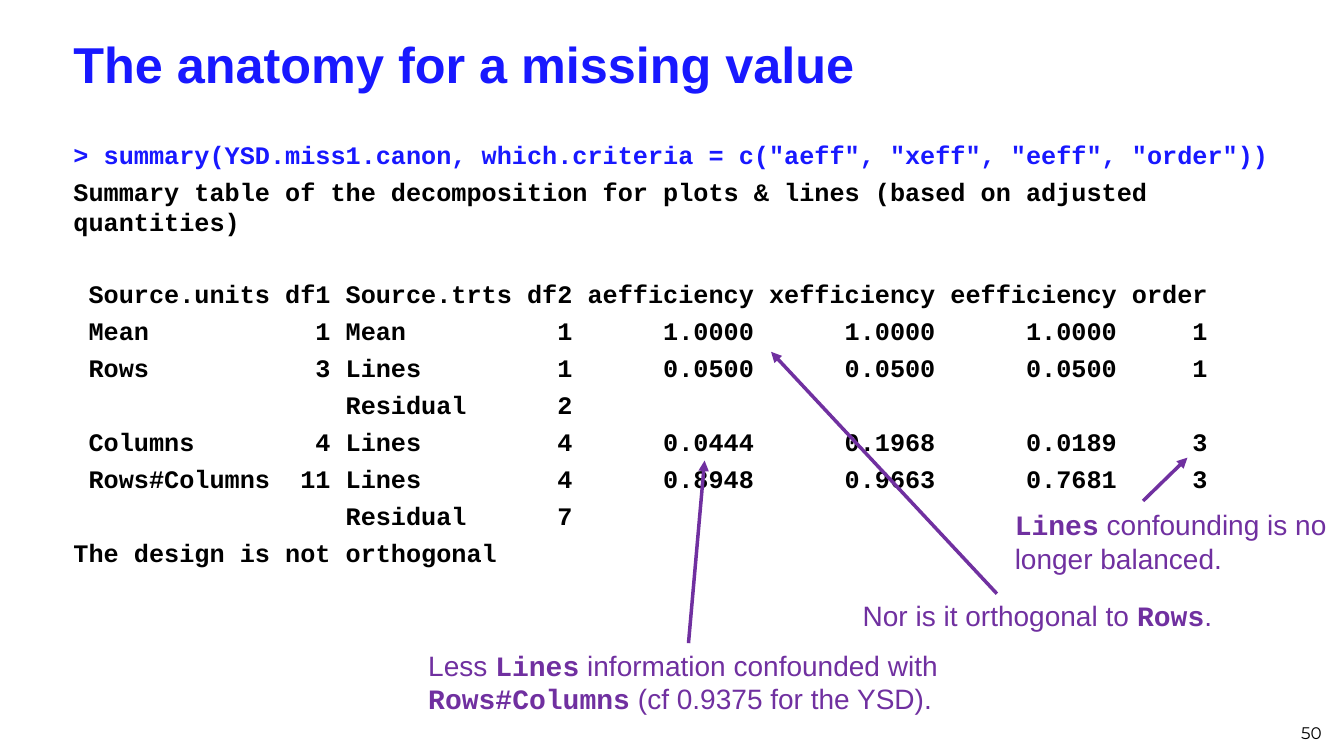
from pptx import Presentation
from pptx.dml.color import RGBColor
from pptx.enum import shapes, text
from pptx.oxml.ns import qn
from pptx.util import Pt

BLUE = RGBColor(0x18, 0x18, 0xFF)
BLACK = RGBColor(0, 0, 0)
PURPLE = RGBColor(0x70, 0x30, 0xA0)
SANS, MONO, NUMBER_FONT = "Arial", "Courier New", "Montserrat"

TITLE = "The anatomy for a missing value"
COMMAND = '> summary(YSD.miss1.canon, which.criteria = c("aeff", "xeff", "eeff", "order"))'
CAPTION = ("Summary table of the decomposition for plots & lines "
           "(based on adjusted quantities)")
ROW_FORMAT = " {:<12} {:>3} {:<11} {:>3} {:>11} {:>11} {:>11} {:>5}"
ROWS = [
    ("Source.units", "df1", "Source.trts", "df2",
     "aefficiency", "xefficiency", "eefficiency", "order"),
    ("Mean", "1", "Mean", "1", "1.0000", "1.0000", "1.0000", "1"),
    ("Rows", "3", "Lines", "1", "0.0500", "0.0500", "0.0500", "1"),
    ("", "", "Residual", "2", "", "", "", ""),
    ("Columns", "4", "Lines", "4", "0.0444", "0.1968", "0.0189", "3"),
    ("Rows#Columns", "11", "Lines", "4", "0.8948", "0.9663", "0.7681", "3"),
    ("", "", "Residual", "7", "", "", "", ""),
]
CONCLUSION = "The design is not orthogonal"
PAGE_NUMBER = "50"

# Box (left, top, width, height), then (wording, is code) pieces
NOTES = [
    ((717.8, 359.3, 242.6, 55.4),
     [("Lines", True), (" confounding is no longer balanced.", False)]),
    ((609.1, 424.1, 270, 31.7),
     [("Nor is it orthogonal to ", False), ("Rows", True), (".", False)]),
    ((298.8, 459.4, 385.9, 55.4),
     [("Less ", False), ("Lines", True), (" information confounded with ", False),
      ("Rows#Columns", True), (" (cf 0.9375 for the YSD).", False)]),
]
# Start x, start y, tip x, tip y
ARROWS = [
    (491.8, 459.4, 503.3, 329),
    (816.5, 357.8, 848.2, 326.9),
    (712.1, 424.1, 550.8, 251.3),
]

LINE_GAP = 4.8
TABLE_GAP = 30


def add_box(slide, box, anchor=text.MSO_ANCHOR.TOP):
    frame = slide.shapes.add_textbox(*map(Pt, box)).text_frame
    frame.word_wrap = True
    frame.vertical_anchor = anchor
    return frame


def style(run, font, size, color, bold=False):
    run.font.name = font
    run.font.size = Pt(size)
    run.font.color.rgb = color
    run.font.bold = bold


def add_title(slide):
    frame = add_box(slide, (45.4, 16.6, 907.2, 56.9), text.MSO_ANCHOR.MIDDLE)
    frame.text = TITLE
    style(frame.paragraphs[0].runs[0], SANS, 36, BLUE, True)


def add_console(slide):
    table = [ROW_FORMAT.format(*row).rstrip() for row in ROWS]
    lines = [COMMAND, CAPTION, *table, CONCLUSION]
    frame = add_box(slide, (45.4, 95.8, 907.2, 439.2))
    frame.text = "\n".join(lines)
    for line, paragraph in zip(lines, frame.paragraphs):
        paragraph.space_before = Pt(TABLE_GAP if line == table[0] else LINE_GAP)
        color = BLUE if line == COMMAND else BLACK
        style(paragraph.runs[0], MONO, 18, color, True)


def add_note(slide, box, pieces):
    paragraph = add_box(slide, box).paragraphs[0]
    for wording, is_code in pieces:
        run = paragraph.add_run()
        run.text = wording
        style(run, MONO if is_code else SANS, 20, PURPLE, is_code)


def add_arrow(slide, ends):
    arrow = slide.shapes.add_connector(
        shapes.MSO_CONNECTOR.STRAIGHT, *map(Pt, ends))
    arrow.line.color.rgb = PURPLE
    arrow.line.width = Pt(2.5)
    properties = arrow._element.spPr
    line = properties.find(qn("a:ln"))
    head = line.makeelement(qn("a:tailEnd"), {"type": "triangle"})
    line.append(head)
    properties.append(properties.makeelement(qn("a:effectLst"), {}))


def add_page_number(slide):
    frame = add_box(slide, (727.2, 498.2, 223.9, 36), text.MSO_ANCHOR.BOTTOM)
    frame.text = PAGE_NUMBER
    paragraph = frame.paragraphs[0]
    paragraph.alignment = text.PP_ALIGN.RIGHT
    style(paragraph.runs[0], NUMBER_FONT, 12, BLACK)


def main():
    presentation = Presentation()
    presentation.slide_width, presentation.slide_height = Pt(960), Pt(540)
    slide = presentation.slides.add_slide(presentation.slide_layouts[6])
    add_title(slide)
    add_console(slide)
    add_page_number(slide)
    for ends in ARROWS:
        add_arrow(slide, ends)
    for box, pieces in NOTES:
        add_note(slide, box, pieces)
    presentation.save("out.pptx")


if __name__ == "__main__":
    main()
